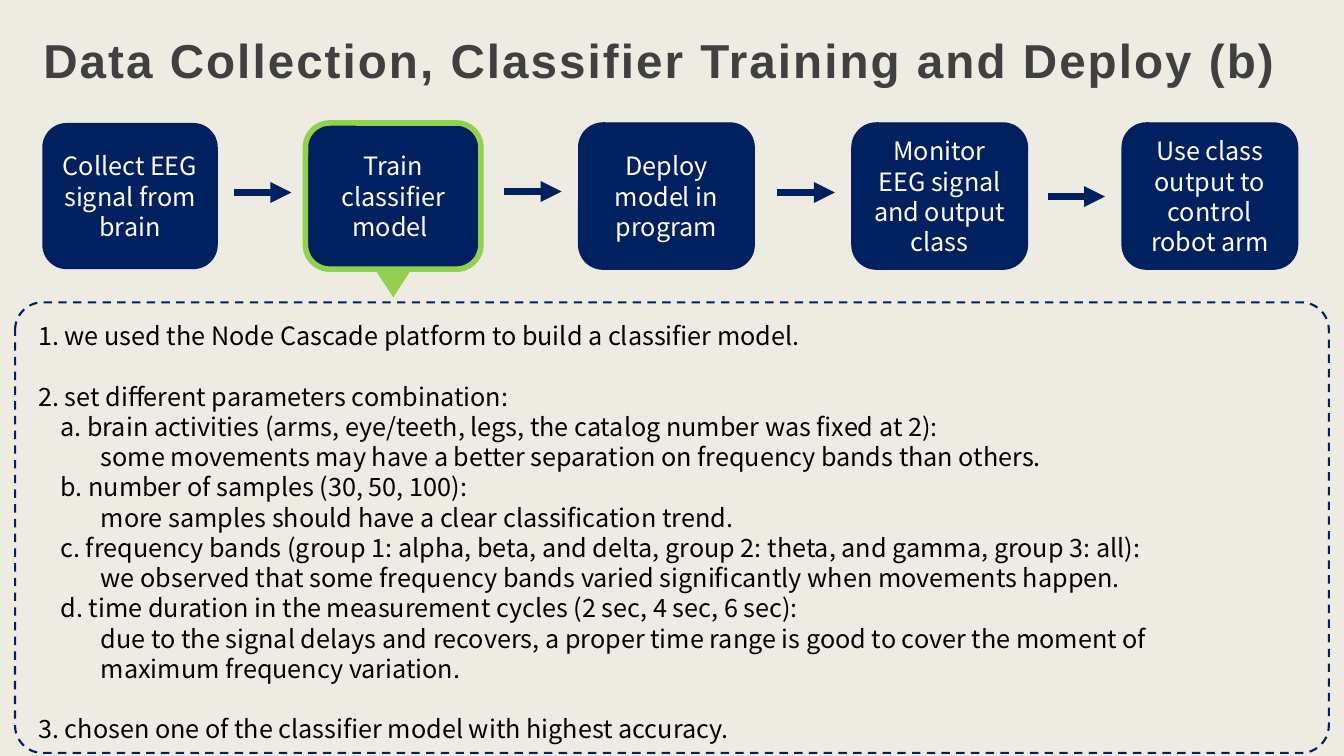
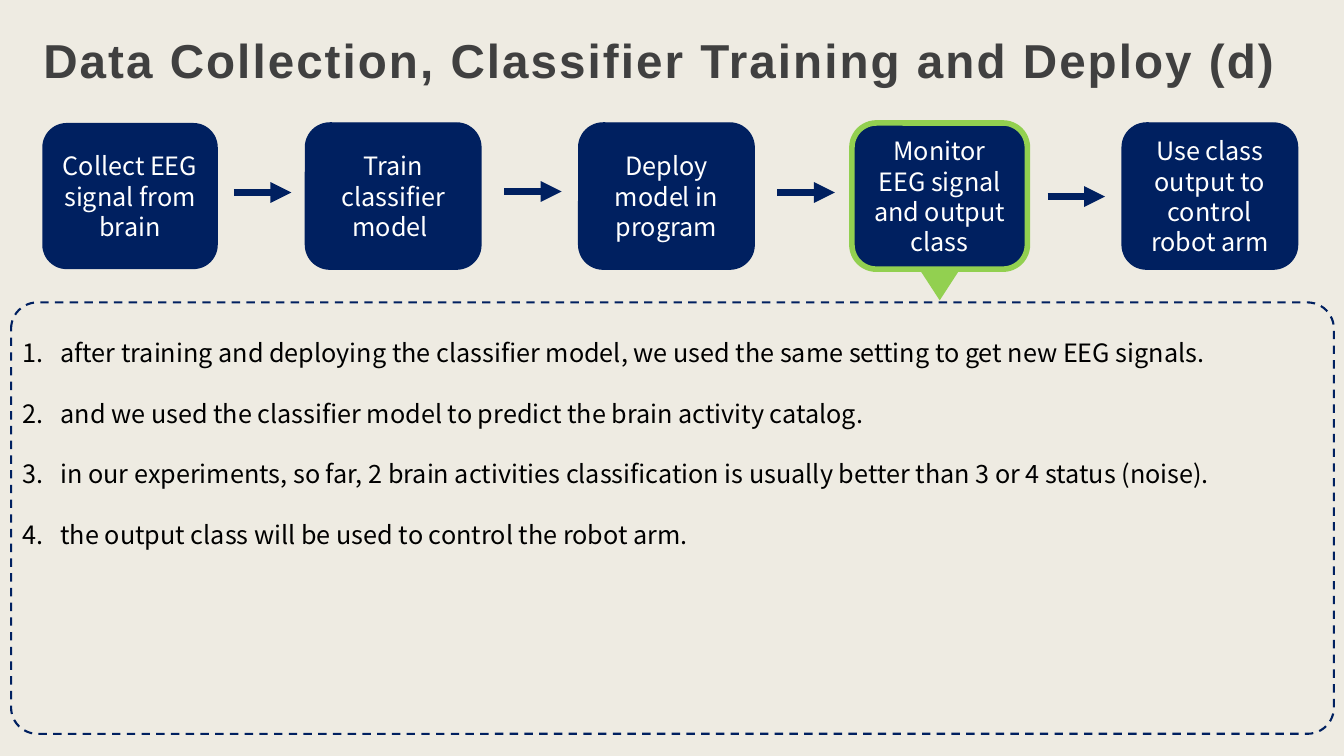
from dataclasses import dataclass
from typing import Any

from lxml.etree import SubElement
from pptx import Presentation
from pptx.dml.color import RGBColor
from pptx.enum.dml import MSO_LINE
from pptx.enum.shapes import MSO_CONNECTOR as Conn, MSO_SHAPE as Shp
from pptx.enum.text import MSO_ANCHOR as Anchor, MSO_AUTO_SIZE as Auto, PP_ALIGN as Align
from pptx.oxml.ns import qn
from pptx.util import Inches, Pt

BG, NAVY, GREEN = "EEEBE2", "002060", "92D050"
WHITE, BLACK, GREY = "FFFFFF", "000000", "404040"
BODY_FONT = "Noto Sans CJK JP"
LINE_PITCH = 21.6
STEP_TOP, STEP_W, STEP_H = 1.22, 1.74, 1.45
ARROW_LEN = 0.57
POINTER_W, POINTER_H = 0.39, 0.3
PANEL_TOP, PANEL_ADJ = 3, 0.061
NUMBER_INDENT = 0.38


@dataclass(frozen=True)
class Step:
    left: float
    text: str
    line_width: float = 1


@dataclass(frozen=True)
class Arrow:
    left: float
    y: float


@dataclass(frozen=True)
class Line:
    text: str
    indent: float = 0
    gap: bool = False


@dataclass(frozen=True)
class Page:
    letter: str
    active: int
    pointer_top: float
    panel: tuple[float, float, float]
    body: tuple[float, float, float, float]
    lines: list[Line]
    numbered: bool = False


STEPS = [
    Step(0.42, "Collect EEG signal from brain", 0),
    Step(3.03, "Train classifier model "),
    Step(5.74, "Deploy model in program"),
    Step(8.45, "Monitor EEG signal and output class"),
    Step(11.13, "Use class output to control robot arm"),
]
ARROWS = [Arrow(2.32, 1.91), Arrow(5, 1.9), Arrow(7.71, 1.91), Arrow(10.39, 1.95)]
SUB, DETAIL = 0.22, 0.62

PAGES = [
    Page("b", 1, 2.65, (0.15, 13.03, 4.47), (0.28, 3.13, 12.4, 4.34), [
        Line("1. we used the Node Cascade platform to build a classifier model."),
        Line("2. set different parameters combination:", gap=True),
        Line("a. brain activities (arms, eye/teeth, legs, the catalog number was fixed at 2):", SUB),
        Line("some movements may have a better separation on frequency bands than others.", DETAIL),
        Line("b. number of samples (30, 50, 100):", SUB),
        Line("more samples should have a clear classification trend.", DETAIL),
        Line("c. frequency bands (group 1: alpha, beta, and delta, group 2: theta, and gamma, "
             "group 3: all):", SUB),
        Line("we observed that some frequency bands varied significantly when movements happen.",
             DETAIL),
        Line("d. time duration in the measurement cycles (2 sec, 4 sec, 6 sec):", SUB),
        Line("due to the signal delays and recovers, a proper time range is good to cover "
             "the moment of", DETAIL),
        Line("maximum frequency variation.", DETAIL),
        Line("3. chosen one of the classifier model with highest accuracy.", gap=True),
    ]),
    Page("d", 3, 2.68, (0.11, 13.12, 4.28), (0.12, 3.3, 13.1, 2.22), [
        Line("after training and deploying the classifier model, we used the same setting "
             "to get new EEG signals.", NUMBER_INDENT),
        Line("and we used the classifier model to predict the brain activity catalog.",
             NUMBER_INDENT, True),
        Line("in our experiments, so far, 2 brain activities classification is usually better "
             "than 3 or 4 status (noise).", NUMBER_INDENT, True),
        Line("the output class will be used to control the robot arm.", NUMBER_INDENT, True),
    ], numbered=True),
]


def rgb(color: str) -> RGBColor:
    return RGBColor.from_string(color)


def apply(obj: Any, **values: Any) -> None:
    for name, value in values.items():
        setattr(obj, name, value)


def place(sp: Any, left: float, top: float, width: float, height: float) -> None:
    apply(sp, left=Inches(left), top=Inches(top), width=Inches(width), height=Inches(height))


def add_run(p: Any, text: str, font: str, size: float, color: str, bold: bool = False) -> Any:
    r = p.add_run()
    r.text = text
    apply(r.font, name=font, size=Pt(size), bold=bold)
    r.font.color.rgb = rgb(color)
    return r


def add_shape(s: Any, kind: Any, left: float, top: float, width: float, height: float,
              fill: str = "", line: str = "", line_width: float = 0) -> Any:
    sp = s.shapes.add_shape(kind, Inches(left), Inches(top), Inches(width), Inches(height))
    sp.shadow.inherit = False
    if fill:
        sp.fill.solid()
        sp.fill.fore_color.rgb = rgb(fill)
    else:
        sp.fill.background()
    if line_width:
        sp.line.color.rgb = rgb(line)
        sp.line.width = Pt(line_width)
    else:
        sp.line.fill.background()
    return sp


def set_title(s: Any, letter: str) -> None:
    sp = s.shapes.title
    place(sp, 0.31, 0.03, 12.71, 0.94)
    tf = sp.text_frame
    apply(tf, auto_size=Auto.NONE, word_wrap=True, vertical_anchor=Anchor.BOTTOM,
          margin_left=Inches(0.12), margin_right=Inches(0.12),
          margin_top=Inches(0.12), margin_bottom=Inches(0.1))
    p = tf.paragraphs[0]
    apply(p, alignment=Align.LEFT, line_spacing=1.3)
    r = add_run(p, f"Data Collection, Classifier Training and Deploy ({letter})",
                "Arial", 34, GREY, True)
    r.font._element.set("spc", "150")


def set_body(s: Any, page: Page) -> None:
    sp = s.placeholders[1]
    place(sp, *page.body)
    tf = sp.text_frame
    apply(tf, auto_size=Auto.NONE, word_wrap=True, vertical_anchor=Anchor.TOP)
    for i, line in enumerate(page.lines):
        p = tf.add_paragraph() if i else tf.paragraphs[0]
        apply(p, alignment=Align.LEFT, line_spacing=Pt(LINE_PITCH),
              space_before=Pt(LINE_PITCH if line.gap else 0), space_after=Pt(0))
        pPr = p._p.get_or_add_pPr()
        pPr.set("marL", str(Inches(line.indent)))
        pPr.set("indent", str(Inches(-line.indent if page.numbered else 0)))
        if page.numbered:
            SubElement(pPr, qn("a:buFont")).set("typeface", BODY_FONT)
            SubElement(pPr, qn("a:buAutoNum")).set("type", "arabicPeriod")
        else:
            SubElement(pPr, qn("a:buNone"))
        add_run(p, line.text, BODY_FONT, 18, BLACK)


def add_step(s: Any, step: Step, active: bool) -> None:
    color, width = (GREEN, 4) if active else (NAVY, step.line_width)
    sp = add_shape(s, Shp.ROUNDED_RECTANGLE, step.left, STEP_TOP, STEP_W, STEP_H,
                   NAVY, color, width)
    tf = sp.text_frame
    apply(tf, word_wrap=True, vertical_anchor=Anchor.MIDDLE)
    p = tf.paragraphs[0]
    apply(p, alignment=Align.CENTER, line_spacing=Pt(LINE_PITCH))
    add_run(p, step.text, BODY_FONT, 18, WHITE)


def add_arrow(s: Any, arrow: Arrow) -> None:
    y = Inches(arrow.y)
    c = s.shapes.add_connector(Conn.STRAIGHT, Inches(arrow.left), y,
                               Inches(arrow.left + ARROW_LEN), y)
    c.line.color.rgb = rgb(NAVY)
    c.line.width = Pt(5)
    SubElement(c.line._get_or_add_ln(), qn("a:tailEnd")).set("type", "triangle")
    SubElement(c._element.spPr, qn("a:effectLst"))


def add_panel(s: Any, left: float, width: float, height: float) -> None:
    sp = add_shape(s, Shp.ROUNDED_RECTANGLE, left, PANEL_TOP, width, height,
                   line=NAVY, line_width=1.5)
    sp.adjustments[0] = PANEL_ADJ
    sp.line.dash_style = MSO_LINE.DASH


def add_page(prs: Any, page: Page) -> None:
    s = prs.slides.add_slide(prs.slide_layouts[1])
    set_title(s, page.letter)
    set_body(s, page)
    add_panel(s, *page.panel)
    pointer_left = STEPS[page.active].left + (STEP_W - POINTER_W) / 2
    pointer = add_shape(s, Shp.ISOSCELES_TRIANGLE, pointer_left, page.pointer_top,
                        POINTER_W, POINTER_H, GREEN)
    pointer.rotation = 180
    for i, step in enumerate(STEPS):
        add_step(s, step, i == page.active)
    for arrow in ARROWS:
        add_arrow(s, arrow)


def main() -> None:
    prs = Presentation()
    apply(prs, slide_width=Inches(13.33), slide_height=Inches(7.5))
    fill = prs.slide_master.background.fill
    fill.solid()
    fill.fore_color.rgb = rgb(BG)
    for page in PAGES:
        add_page(prs, page)
    prs.save("out.pptx")


if __name__ == "__main__":
    main()
